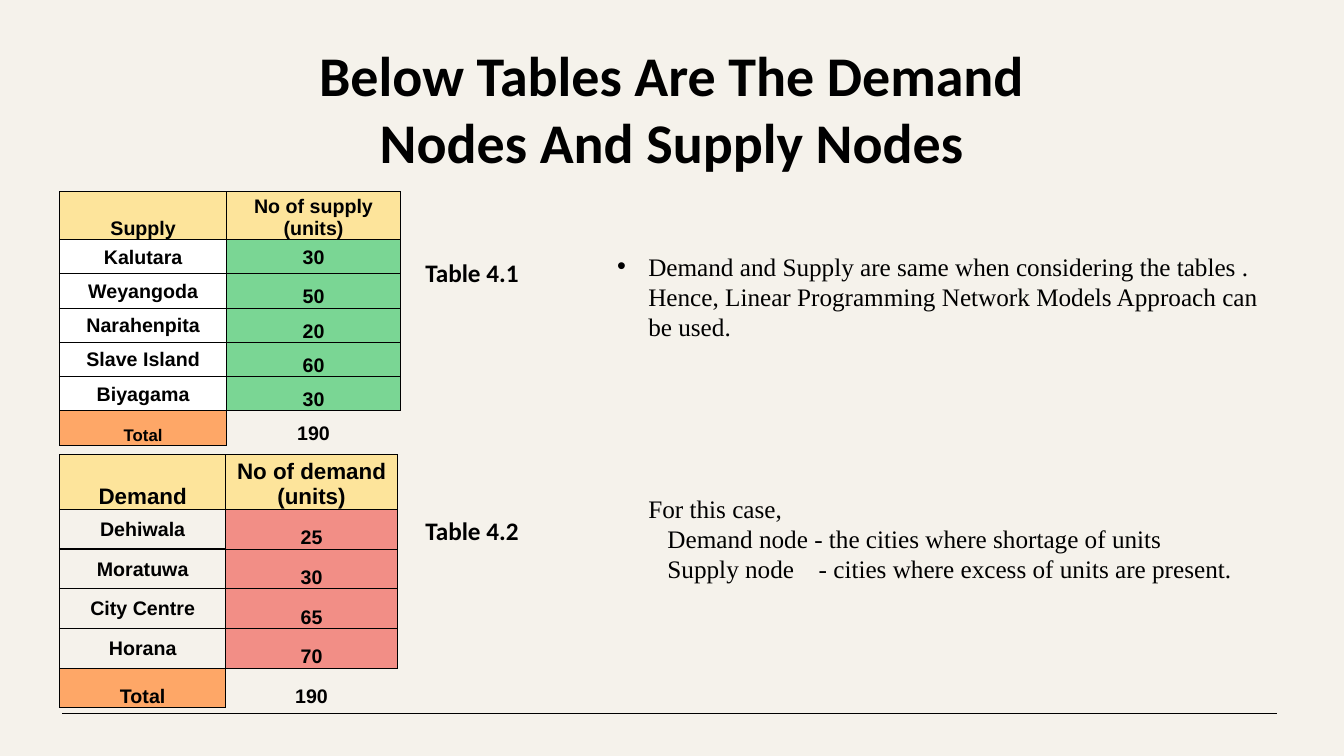
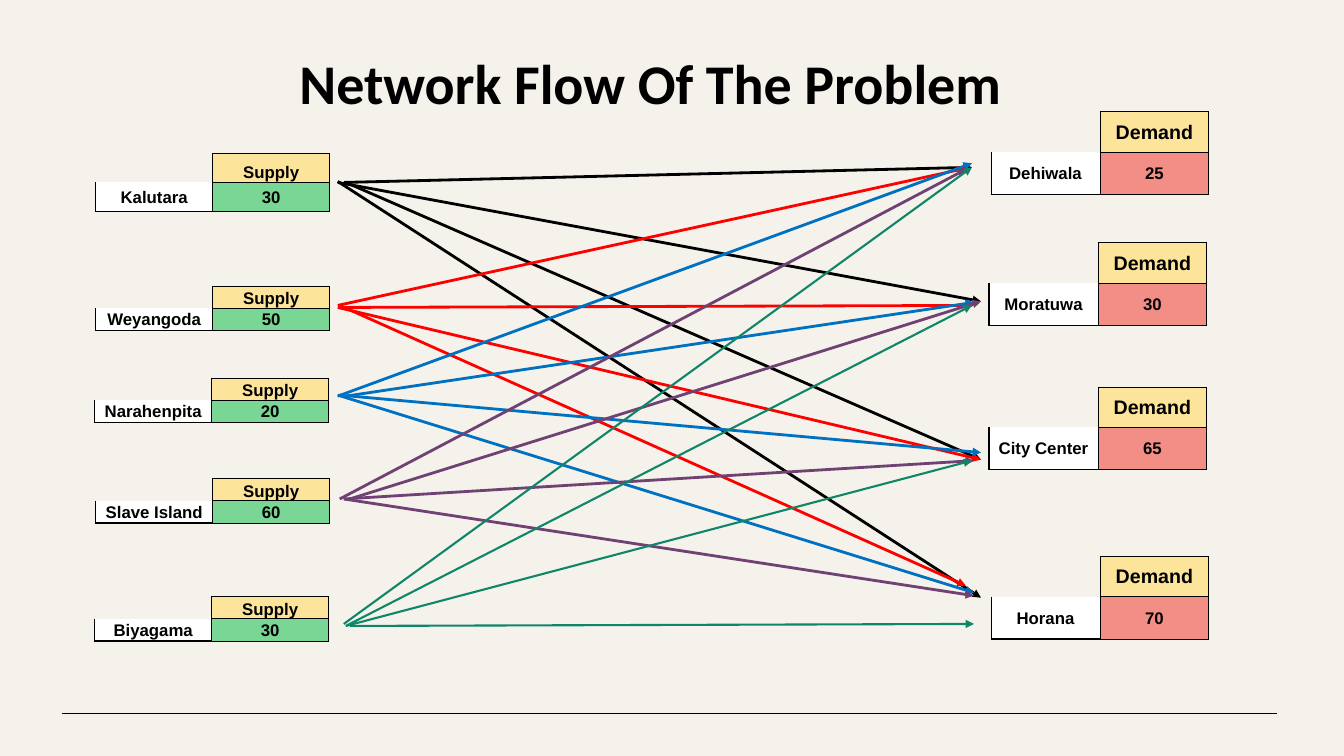
from dataclasses import dataclass

from lxml import etree
from pptx import Presentation
from pptx.dml.color import RGBColor
from pptx.enum.shapes import MSO_CONNECTOR
from pptx.enum.text import MSO_ANCHOR, MSO_AUTO_SIZE, PP_ALIGN
from pptx.oxml.ns import qn
from pptx.util import Inches, Pt

CENTER = PP_ALIGN.CENTER
MIDDLE, BOTTOM = MSO_ANCHOR.MIDDLE, MSO_ANCHOR.BOTTOM
STRAIGHT = MSO_CONNECTOR.STRAIGHT
NO_AUTOFIT = MSO_AUTO_SIZE.NONE


class Theme:
    background = RGBColor.from_string("F5F2EB")
    ink = RGBColor.from_string("000000")
    white = RGBColor.from_string("FFFFFF")
    header = RGBColor.from_string("FDE49B")
    supply = RGBColor.from_string("7AD694")
    demand = RGBColor.from_string("F28E86")
    total = RGBColor.from_string("FEA767")
    red = RGBColor.from_string("FF0000")
    blue = RGBColor.from_string("0070C0")
    purple = RGBColor.from_string("704274")
    green = RGBColor.from_string("108669")
    heading_font, table_font, body_font = "Calibri", "Arial", "Times New Roman"
    title_size, body_size = 40, 18
    header_size, cell_size, small_size = 16, 14, 12
    body_leading = 21.6


@dataclass
class Cell:
    text: str = ""
    fill: RGBColor = None
    size: float = Theme.cell_size
    anchor: int = MIDDLE
    sides: str = "LRTB"
    weight: float = 0.75


def add_title(slide, text, left, top, width, height):
    title = slide.shapes.title
    title.left, title.top = Inches(left), Inches(top)
    title.width, title.height = Inches(width), Inches(height)
    title.text_frame.auto_size = NO_AUTOFIT
    paragraph = title.text_frame.paragraphs[0]
    paragraph.text = text
    paragraph.alignment = CENTER
    paragraph.font.name = Theme.heading_font
    paragraph.font.size = Pt(Theme.title_size)
    paragraph.font.bold = True
    paragraph.font.color.rgb = Theme.ink


def add_grid(slide, left, top, widths, heights, rows):
    """Add a table of Cell rows; a side missing from Cell.sides has no border."""
    table = slide.shapes.add_table(
        len(rows), len(widths), Inches(left), Inches(top),
        Inches(sum(widths)), Inches(sum(heights))).table
    table.first_row = table.horz_banding = False
    for column, width in zip(table.columns, widths):
        column.width = Inches(width)
    for table_row, height, row in zip(table.rows, heights, rows):
        table_row.height = Inches(height)
        for cell, content in zip(table_row.cells, row):
            cell.margin_left = cell.margin_right = cell.margin_top = Inches(0.01)
            cell.margin_bottom = 0
            cell.vertical_anchor = content.anchor
            properties = cell._tc.get_or_add_tcPr()
            for side in "LRTB":
                weight = 0.75 if side == "R" else content.weight
                border = etree.SubElement(properties, qn("a:ln" + side), w=str(Pt(weight)))
                if side in content.sides:
                    solid = etree.SubElement(border, qn("a:solidFill"))
                    etree.SubElement(solid, qn("a:srgbClr"), val=str(Theme.ink))
                else:
                    etree.SubElement(border, qn("a:noFill"))
            if content.fill is None:
                cell.fill.background()
            else:
                cell.fill.solid()
                cell.fill.fore_color.rgb = content.fill
            paragraph = cell.text_frame.paragraphs[0]
            if content.text:
                paragraph.text = content.text
            else:
                etree.SubElement(paragraph._p, qn("a:endParaRPr"), sz=str(content.size * 100))
            paragraph.alignment = CENTER
            paragraph.font.name = Theme.table_font
            paragraph.font.size = Pt(content.size)
            paragraph.font.bold = True
            paragraph.font.color.rgb = Theme.ink


presentation = Presentation()
presentation.slide_width, presentation.slide_height = Inches(13.33), Inches(7.5)
master = presentation.slide_master
master.background.fill.solid()
master.background.fill.fore_color.rgb = Theme.background

# Slide 1: supply and demand tables
slide = presentation.slides.add_slide(presentation.slide_layouts[1])

# The footer rule belongs to the master, which has no add_connector of its own
footer_rule = slide.shapes.add_connector(
    STRAIGHT, Inches(0.62), Inches(7.08), Inches(12.67), Inches(7.08))
footer_rule.line.color.rgb = Theme.ink
footer_rule.line.width = Pt(1)
etree.SubElement(footer_rule.element.spPr, qn("a:effectLst"))
footer_rule.element.nvCxnSpPr.cNvPr.set("id", "20")
master.shapes.element.append(footer_rule.element)

add_title(slide, "Below Tables Are The Demand Nodes And Supply Nodes", 2.75, 0.34, 7.82, 1.45)

for text, top in (("Table 4.1", 2.5), ("Table 4.2", 5.06)):
    label = slide.shapes.add_textbox(Inches(4.12), Inches(top), Inches(1.44), Inches(0.4))
    label.text_frame.word_wrap = True
    paragraph = label.text_frame.paragraphs[0]
    paragraph.text = text
    paragraph.font.name = Theme.heading_font
    paragraph.font.size = Pt(Theme.body_size)
    paragraph.font.bold = True
    paragraph.font.color.rgb = Theme.ink

body = slide.placeholders[1]
body.left, body.top, body.width, body.height = Inches(6.02), Inches(2.44), Inches(6.8), Inches(3.84)
body.text_frame.auto_size = NO_AUTOFIT
# text, left margin, first-line indent, space before in lines, tab stops
notes = (
    ("Demand and Supply are same when considering the tables .\v"
     "Hence, Linear Programming Network Models Approach can be used.", 0.31, -0.31, 0, ()),
    ("For this case,", 0.31, 0, 5, ()),
    ("\tDemand node - the cities where shortage of units", 0, 0, 0, (1,)),
    ("\tSupply node\t- cities where excess of units are present.", 0, 0, 0, (1, 2.45)),
)
for index, (text, margin, indent, gap, stops) in enumerate(notes):
    paragraph = body.text_frame.paragraphs[0] if index == 0 else body.text_frame.add_paragraph()
    paragraph.text = text
    paragraph.line_spacing = Pt(Theme.body_leading)
    paragraph.space_before = Pt(gap * Theme.body_leading)
    properties = paragraph._p.get_or_add_pPr()
    properties.set("marL", str(Inches(margin)))
    properties.set("indent", str(Inches(indent)))
    if indent:
        etree.SubElement(properties, qn("a:buChar"), char="•")
    else:
        etree.SubElement(properties, qn("a:buNone"))
    if stops:
        tab_list = etree.SubElement(properties, qn("a:tabLst"))
        for stop in stops:
            etree.SubElement(tab_list, qn("a:tab"), pos=str(Inches(stop)), algn="l")
    paragraph.font.name = Theme.body_font
    paragraph.font.size = Pt(Theme.body_size)
    paragraph.font.color.rgb = Theme.ink

supply_rows = (("Kalutara", 30), ("Weyangoda", 50), ("Narahenpita", 20),
               ("Slave Island", 60), ("Biyagama", 30))
demand_rows = (("Dehiwala", 25), ("Moratuwa", 30), ("City Centre", 65), ("Horana", 70))
# heading, unit heading, rows, top, widths, header and row height,
# header and total size, label and value fill
summaries = (
    ("Supply", "No of supply (units)", supply_rows, 1.9, (1.66, 1.72), 0.46, 0.34,
     Theme.cell_size, Theme.small_size, Theme.white, Theme.supply),
    ("Demand", "No of demand (units)", demand_rows, 4.51, (1.65, 1.7), 0.54, 0.394,
     Theme.header_size, Theme.cell_size, None, Theme.demand),
)
for (heading, unit_heading, nodes, top, widths, header_height, row_height,
     header_size, total_size, label_fill, value_fill) in summaries:
    rows = [[Cell(text, Theme.header, header_size, BOTTOM) for text in (heading, unit_heading)]]
    for name, units in nodes:
        anchor = MIDDLE if name == "Kalutara" else BOTTOM
        rows.append([Cell(name, label_fill, weight=1), Cell(str(units), value_fill, anchor=anchor)])
    total = sum(units for _, units in nodes)
    rows.append([Cell("Total", Theme.total, total_size, BOTTOM),
                 Cell(str(total), anchor=BOTTOM, sides="LT")])
    heights = [header_height] + [row_height] * (len(rows) - 1)
    add_grid(slide, 0.59, top, widths, heights, rows)

# Slide 2: network diagram
slide = presentation.slides.add_slide(presentation.slide_layouts[5])
add_title(slide, "Network Flow Of The Problem", 2.33, 0.43, 8.24, 0.77)

# colour, line width, then start x, start y, end x, end y of each arrow
flows = (
    (Theme.ink, 2, ((3.41, 1.81, 9.64, 1.66), (3.35, 1.81, 9.73, 2.99),
                    (3.43, 1.81, 9.73, 4.56), (3.35, 1.8, 9.73, 5.93))),
    (Theme.red, 2, ((3.35, 3.03, 9.58, 1.67), (3.37, 3.05, 9.66, 3.03),
                    (3.35, 3.05, 9.73, 4.56), (3.37, 3.03, 9.58, 5.81))),
    (Theme.blue, 2, ((3.35, 3.93, 9.64, 1.62), (3.43, 3.93, 9.66, 3),
                     (3.37, 3.92, 9.73, 4.49), (3.35, 3.92, 9.66, 5.88))),
    (Theme.purple, 2, ((3.37, 4.95, 9.58, 1.68), (3.47, 4.95, 9.73, 2.99),
                       (3.41, 4.95, 9.66, 4.57), (3.41, 4.95, 9.66, 5.91))),
    (Theme.green, 1.5, ((3.41, 6.19, 9.64, 1.66), (3.43, 6.21, 9.64, 3.03),
                        (3.43, 6.21, 9.64, 4.57), (3.47, 6.21, 9.66, 6.19))),
)
for color, width, arrows in flows:
    for ends in arrows:
        arrow = slide.shapes.add_connector(STRAIGHT, *(Inches(value) for value in ends))
        arrow.line.color.rgb = color
        arrow.line.width = Pt(width)
        etree.SubElement(arrow.line._get_or_add_ln(), qn("a:tailEnd"), type="triangle")
        etree.SubElement(arrow.element.spPr, qn("a:effectLst"))

# heading, value fill, heading size, heading anchor, column width,
# then name, units, left, top and row heights of each node
node_groups = (
    ("Supply", Theme.supply, Theme.small_size, BOTTOM, 1.16, (
        ("Kalutara", 30, 0.95, 1.52, (0.29, 0.29)),
        ("Weyangoda", 50, 0.95, 2.84, (0.22, 0.22)),
        ("Narahenpita", 20, 0.94, 3.75, (0.22, 0.22)),
        ("Slave Island", 60, 0.95, 4.75, (0.22, 0.22)),
        ("Biyagama", 30, 0.94, 5.92, (0.22, 0.22)))),
    ("Demand", Theme.demand, Theme.cell_size, MIDDLE, 1.08, (
        ("Dehiwala", 25, 9.83, 1.11, (0.4, 0.42)),
        ("Moratuwa", 30, 9.81, 2.41, (0.4, 0.42)),
        ("City Center", 65, 9.81, 3.84, (0.4, 0.42)),
        ("Horana", 70, 9.83, 5.52, (0.4, 0.42)))),
)
for heading, value_fill, heading_size, anchor, width, nodes in node_groups:
    for name, units, left, top, heights in nodes:
        add_grid(slide, left, top, (width, width), heights, [
            [Cell(size=Theme.small_size, sides="R"),
             Cell(heading, Theme.header, heading_size, anchor)],
            [Cell(name, Theme.white, Theme.small_size, sides="LRB", weight=1),
             Cell(str(units), value_fill, Theme.small_size)],
        ])

presentation.save("out.pptx")
